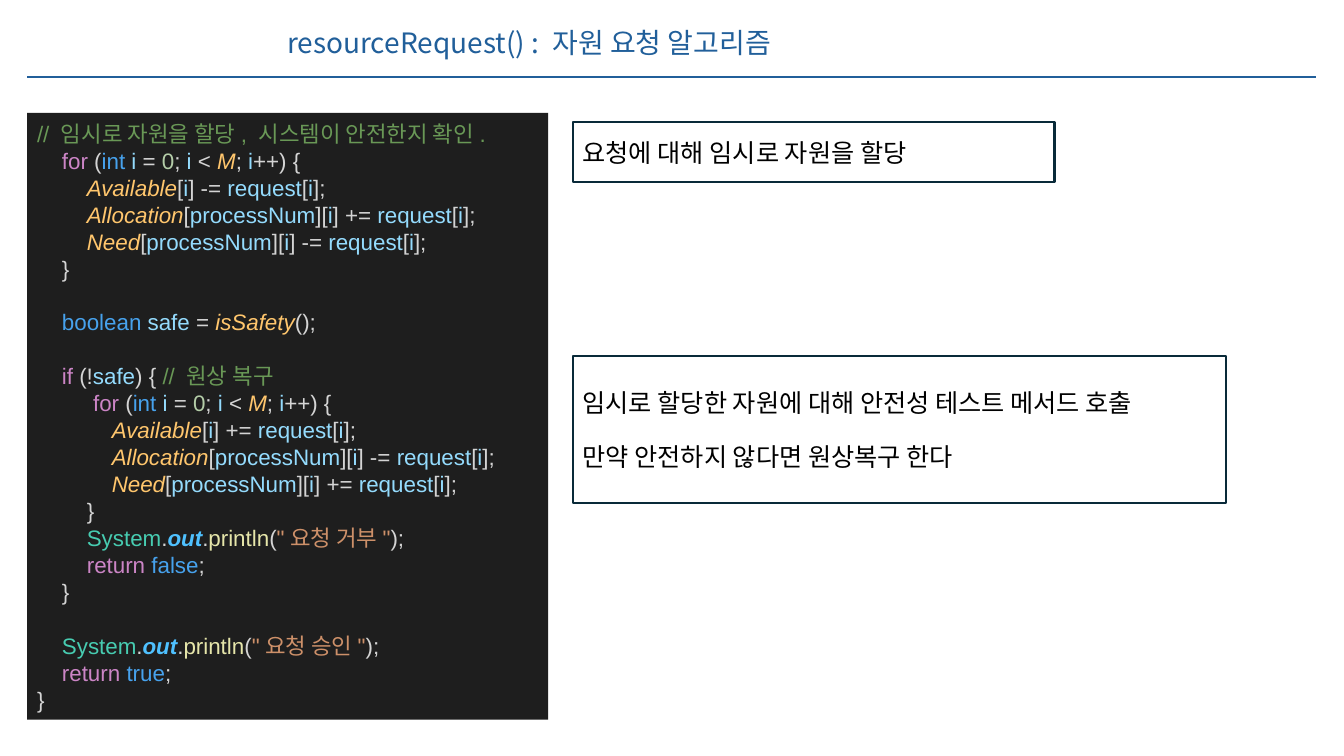
from pptx import Presentation
from pptx.dml.color import RGBColor
from pptx.enum.shapes import MSO_CONNECTOR as CONN, MSO_SHAPE as SHAPE
from pptx.enum.text import MSO_ANCHOR as ANCHOR, PP_ALIGN as ALIGN
from pptx.oxml.ns import qn
from pptx.util import Pt
from lxml.etree import SubElement

# Colours
WHITE = RGBColor(0xFF, 0xFF, 0xFF)
BLACK = RGBColor(0x00, 0x00, 0x00)
BLUE = RGBColor(0x21, 0x5F, 0x9A)
NAVY = RGBColor(0x09, 0x2A, 0x39)
EDITOR = RGBColor(0x1E, 0x1E, 0x1E)
PLAIN = RGBColor(0xD4, 0xD4, 0xD4)
COMMENT = RGBColor(0x69, 0x98, 0x56)
STRING = RGBColor(0xCD, 0x90, 0x69)
CONTROL = RGBColor(0xCC, 0x85, 0xC6)
KEYWORD = RGBColor(0x47, 0xA2, 0xED)
VARIABLE = RGBColor(0x94, 0xDB, 0xFD)
STATIC = RGBColor(0xFF, 0xC6, 0x6D)
NUMBER = RGBColor(0xB4, 0xCD, 0xA8)
TYPE = RGBColor(0x47, 0xCC, 0xB1)
FIELD = RGBColor(0x4F, 0xC1, 0xFF)
METHOD = RGBColor(0xE6, 0xE6, 0xAA)

# Syntax colouring
WORDS = {
    CONTROL: "for if return",
    KEYWORD: "int boolean true false",
    VARIABLE: "i request processNum safe",
    STATIC: "M Available Allocation Need isSafety",
    NUMBER: "0",
    TYPE: "System",
    FIELD: "out",
    METHOD: "println",
}
TOKEN_COLORS = {w: color for color, words in WORDS.items() for w in words.split()}

KOREAN = "Noto Sans CJK KR"
SPACE = 4.45  # width of one space in the code font
LINE = 19.25  # height of one code line


def token_format(token):
    if token.startswith("//"):
        return dict(color=COMMENT)
    if token.startswith('"'):
        return dict(color=STRING)
    color = TOKEN_COLORS.get(token.strip(), PLAIN)
    return dict(color=color, italic=color in (STATIC, FIELD), bold=color == FIELD)


def add_run(p, text, size=18, font=KOREAN, color=BLACK, bold=False, italic=False):
    r = p.add_run()
    r.text = text
    f = r.font
    f.size, f.name, f.bold, f.italic = Pt(size), font, bold, italic
    f.color.rgb = color
    SubElement(r._r.get_or_add_rPr(), qn("a:ea")).set("typeface", KOREAN)


def loop(indent, allocate):
    """Code lines of a loop that allocates the request or takes it back."""
    less, more = ("-=", "+=") if allocate else ("+=", "-=")
    body = 8 if allocate else 12
    request = "|request|[|i|];"
    return [
        (indent, "for |(|int |i |= |0|; |i |< |M|; |i|++) {"),
        (body, f"Available|[|i|] {less} {request}"),
        (body, f"Allocation|[|processNum|][|i|] {more} {request}"),
        (body, f"Need|[|processNum|][|i|] {less} {request}"),
        (body - 4, "}"),
    ]


def println(indent, message, result):
    return [
        (indent, f'System|.|out|.|println|(|"{message}"|);'),
        (indent, f"return |{result}|;"),
        (indent - 4, "}"),
    ]


# Indent in spaces and tokens split by bars; None is a gap of one line
CODE = [
    (0, "// 임시로 자원을 할당, 시스템이 안전한지 확인."),
    *loop(4, True),
    None,
    (4, "boolean |safe |= |isSafety|();"),
    None,
    (4, "if |(!|safe|) { |// 원상 복구"),
    *loop(9, False),
    *println(8, "요청 거부", "false"),
    None,
    *println(4, "요청 승인", "true"),
]


class Deck:
    def __init__(self, width, height):
        self.prs = Presentation()
        self.prs.slide_width, self.prs.slide_height = Pt(width), Pt(height)
        self.s = self.prs.slides.add_slide(self.prs.slide_layouts[6])

    def rule(self, x1, x2, y, color):
        sp = self.s.shapes.add_connector(CONN.STRAIGHT, Pt(x1), Pt(y), Pt(x2), Pt(y))
        sp.line.color.rgb, sp.line.width = color, Pt(1.5)
        SubElement(sp._element.spPr, qn("a:effectLst"))

    def title(self, text, x, y, w, h):
        tf = self.s.shapes.add_textbox(Pt(x), Pt(y), Pt(w), Pt(h)).text_frame
        tf.word_wrap = True
        add_run(tf.paragraphs[0], text, size=20, color=BLUE)

    def box(self, x, y, w, h, fill, line=None):
        sp = self.s.shapes.add_shape(SHAPE.RECTANGLE, Pt(x), Pt(y), Pt(w), Pt(h))
        sp.shadow.inherit = False
        sp.fill.solid()
        sp.fill.fore_color.rgb = fill
        if line is None:
            sp.line.fill.background()
        else:
            sp.line.color.rgb, sp.line.width = line, Pt(1.5)
        tf = sp.text_frame
        tf.word_wrap, tf.vertical_anchor = True, ANCHOR.MIDDLE
        return tf

    def note(self, texts, x, y, w, h):
        tf = self.box(x, y, w, h, WHITE, NAVY)
        for n, text in enumerate(texts):
            p = tf.add_paragraph() if n else tf.paragraphs[0]
            p.alignment = ALIGN.LEFT
            p.space_before = Pt(16.8 if n else 0)
            add_run(p, text)

    def code(self, lines, x, y, w, h):
        tf = self.box(x, y, w, h, EDITOR)
        p, gap = tf.paragraphs[0], 0
        for n, line in enumerate(lines):
            if line is None:
                gap = LINE
                continue
            indent, tokens = line
            if n:
                p = tf.add_paragraph()
            p.alignment, p.line_spacing, p.space_before = ALIGN.LEFT, Pt(LINE), Pt(gap)
            p._p.get_or_add_pPr().set("marL", str(Pt(indent * SPACE)))
            for token in tokens.split("|"):
                add_run(p, token, size=16, font="Arial", **token_format(token))
            gap = 0


def main():
    deck = Deck(960, 540)

    # Heading
    deck.rule(19.4, 940.3, 54.7, BLUE)
    deck.title("resourceRequest() : 자원 요청 알고리즘", 198, 14.4, 384.5, 31.5)

    # Code panel
    deck.code(CODE, 19.4, 80.6, 372.2, 433.4)

    # Explanations
    deck.note(["요청에 대해 임시로 자원을 할당"], 409, 87.1, 344.2, 43.2)
    deck.note(
        ["임시로 할당한 자원에 대해 안전성 테스트 메서드 호출", "만약 안전하지 않다면 원상복구 한다"],
        409, 254.2, 466.6, 105.1,
    )

    deck.prs.save("out.pptx")


if __name__ == "__main__":
    main()
